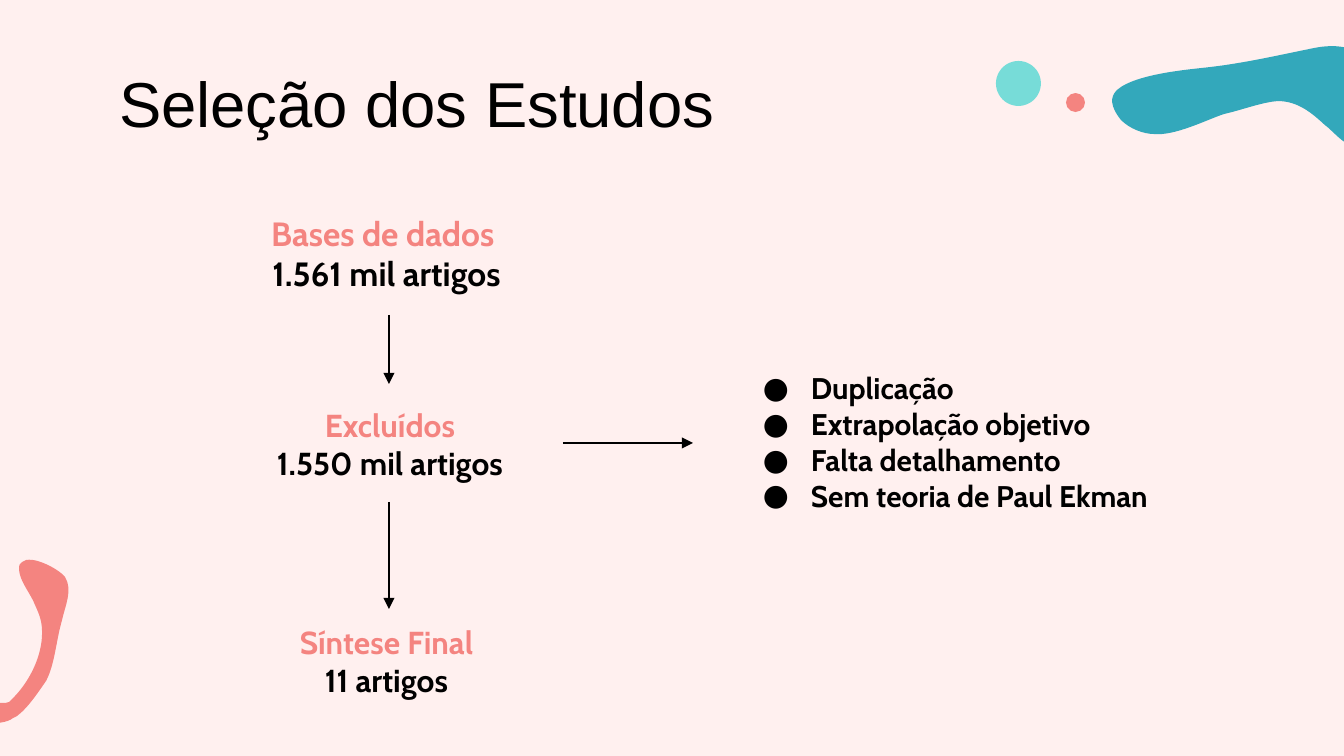
from math import cos, radians, sin

from lxml import etree
from pptx import Presentation
from pptx.dml.color import RGBColor
from pptx.enum.shapes import MSO_CONNECTOR, MSO_SHAPE
from pptx.enum.text import PP_ALIGN
from pptx.oxml.ns import qn
from pptx.util import Pt

OVAL = MSO_SHAPE.OVAL
STRAIGHT = MSO_CONNECTOR.STRAIGHT
LEFT, CENTER = PP_ALIGN.LEFT, PP_ALIGN.CENTER

PX = 914400 / 134.4
WIDTH, HEIGHT = 1344, 756
INSET = 13
BULLET_MARGIN, BULLET_INDENT = 67, -48

COLORS = {"background": "FFF0EF", "teal": "33A8BB", "mint": "77DCD8",
          "coral": "F48480", "text": "000000"}

TITLE = ("Seleção dos Estudos", (106, 51, 1134, 85))
STAGES = [
    ("Bases de dados ", "1.561 mil artigos", 18, (160, 200, 453, 109)),
    ("Excluídos", "1.550 mil artigos", 17, (222, 393, 336, 103)),
    ("Síntese Final", "11 artigos", 17, (171, 610, 431, 103)),
]
REASONS = ["Duplicação", "Extrapolação objetivo", "Falta detalhamento",
           "Sem teoria de Paul Ekman"]
REASONS_BOX = (731, 357, 465, 172)
ARROWS = [(389, 315, 389, 384), (389, 502, 389, 609), (563, 443, 693, 443)]
DOTS = [("mint", 996, 61, 45), ("coral", 1066, 93, 19)]

BLOBS = [
    ("teal", (1145, -8, 224, 210), 315, [
        (1117, 90),
        (1136, 73, 1195, 69, 1210, 67), (1245, 63, 1279, 55, 1314, 48),
        (1359, 39, 1379, 62, 1388, 105), (1391, 110, 1388, 116, 1383, 121),
        (1378, 125, 1372, 130, 1368, 133), (1366, 136, 1356, 144, 1352, 145),
        (1344, 145, 1331, 129, 1325, 125), (1312, 113, 1298, 101, 1278, 101),
        (1262, 102, 1242, 110, 1224, 114), (1206, 120, 1175, 136, 1154, 134),
        (1144, 134, 1130, 129, 1121, 120), (1110, 106, 1110, 97, 1117, 90),
    ]),
    ("coral", (-116, 599, 215, 120), 142, [
        (17, 716),
        (16, 716, 15, 718, 13, 718), (7, 723, -4, 723, -12, 724),
        (-32, 726, -51, 723, -70, 715), (-85, 710, -114, 698, -120, 680),
        (-108, 671), (-112, 673, -97, 684, -94, 685),
        (-79, 695, -62, 698, -46, 698), (-31, 699, -15, 703, -1, 703),
        (5, 703, 7, 703, 9, 702), (11, 700, 12, 699, 15, 696),
        (30, 680, 42, 656, 42, 633), (42, 622, 40, 616, 35, 605),
        (31, 594, 20, 582, 19, 570), (19, 566, 19, 563, 22, 562),
        (31, 554, 59, 569, 65, 577), (73, 590, 65, 606, 62, 620),
        (56, 640, 55, 664, 46, 681), (39, 691, 28, 708, 17, 716),
    ]),
]


def emu(*lengths):
    return [round(length * PX) for length in lengths]


def color(name):
    return RGBColor.from_string(COLORS[name])


def paint(shape, name):
    shape.shadow.inherit = False
    shape.fill.solid()
    shape.fill.fore_color.rgb = color(name)
    shape.line.fill.background()


def turn_back(x, y, frame, angle):
    left, top, width, height = frame
    dx, dy = x - left - width / 2, y - top - height / 2
    c, s = cos(radians(angle)), sin(radians(angle))
    return emu(dx * c + dy * s + width / 2, dy * c - dx * s + height / 2)


def add_blob(page, name, frame, angle, segments):
    left, top, width, height = frame
    right, bottom = left + width, top + height
    builder = page.shapes.build_freeform(*emu(left, top))
    builder.add_line_segments([emu(right, top), emu(right, bottom), emu(left, bottom)])
    blob = builder.convert_to_shape()
    outline = blob._element.spPr.find(".//" + qn("a:path"))
    for corner in list(outline):
        outline.remove(corner)
    for index, segment in enumerate(segments):
        tag = "a:cubicBezTo" if len(segment) == 6 else "a:lnTo" if index else "a:moveTo"
        step = etree.SubElement(outline, qn(tag))
        for x, y in zip(segment[::2], segment[1::2]):
            px, py = turn_back(x, y, frame, angle)
            etree.SubElement(step, qn("a:pt"), x=str(px), y=str(py))
    etree.SubElement(outline, qn("a:close"))
    blob.rotation = angle
    paint(blob, name)


def add_text(page, place, lines, font, size, bold=False, align=LEFT):
    box = page.shapes.add_textbox(*emu(*place))
    frame = box.text_frame
    frame.word_wrap = True
    (frame.margin_left, frame.margin_top,
     frame.margin_right, frame.margin_bottom) = emu(*[INSET] * 4)
    frame.text = "\n".join(text for text, name in lines)
    for para, (text, name) in zip(frame.paragraphs, lines):
        para.alignment = align
        para.font.name = font
        para.font.size = Pt(size)
        para.font.bold = bold
        para.font.color.rgb = color(name)
    return frame


def add_bullet(para):
    props = para._p.get_or_add_pPr()
    margin, indent = emu(BULLET_MARGIN, BULLET_INDENT)
    props.set("marL", str(margin))
    props.set("indent", str(indent))
    tint = etree.Element(qn("a:buClr"))
    etree.SubElement(tint, qn("a:srgbClr"), val=COLORS["text"])
    props.insert(0, tint)
    props.insert(1, etree.Element(qn("a:buFont"), typeface="Cabin"))
    props.insert(2, etree.Element(qn("a:buChar"), char="●"))


def add_arrow(page, ends):
    arrow = page.shapes.add_connector(STRAIGHT, *emu(*ends))
    arrow.line.color.rgb = color("text")
    arrow.line.width = Pt(0.75)
    etree.SubElement(arrow.line._get_or_add_ln(), qn("a:tailEnd"), type="triangle")
    etree.SubElement(arrow._element.spPr, qn("a:effectLst"))


def main():
    deck = Presentation()
    deck.slide_width, deck.slide_height = emu(WIDTH, HEIGHT)
    page = deck.slides.add_slide(deck.slide_layouts[6])
    page.background.fill.solid()
    page.background.fill.fore_color.rgb = color("background")

    for name, frame, angle, segments in BLOBS:
        add_blob(page, name, frame, angle, segments)
    for name, left, top, size in DOTS:
        paint(page.shapes.add_shape(OVAL, *emu(left, top, size, size)), name)

    title, place = TITLE
    add_text(page, place, [(title, "text")], "Arial", 34)
    for heading, count, size, place in STAGES:
        add_text(page, place, [(heading, "coral"), (count, "text")],
                 "Cabin", size, True, CENTER)
    reasons = add_text(page, REASONS_BOX, [(reason, "text") for reason in REASONS],
                       "Cabin", 16, True)
    for para in reasons.paragraphs:
        add_bullet(para)
    for ends in ARROWS:
        add_arrow(page, ends)

    deck.save("out.pptx")


if __name__ == "__main__":
    main()
